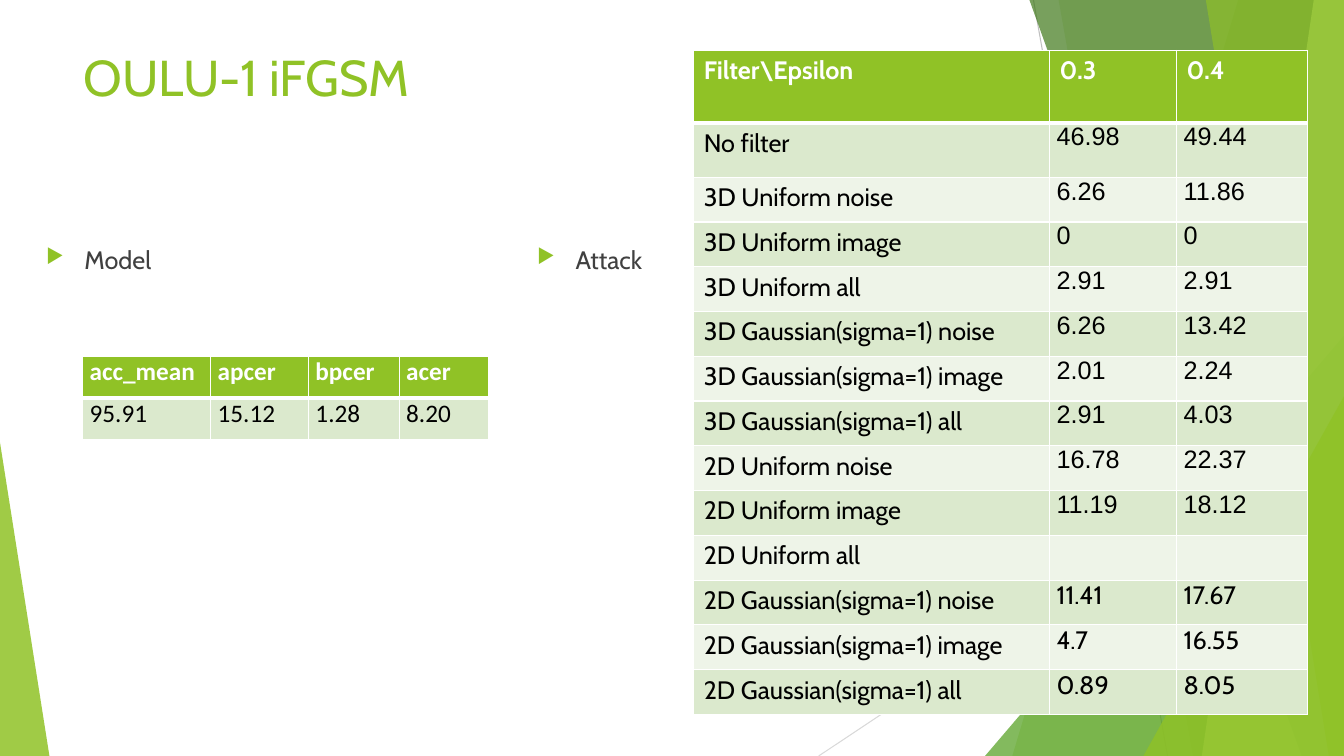
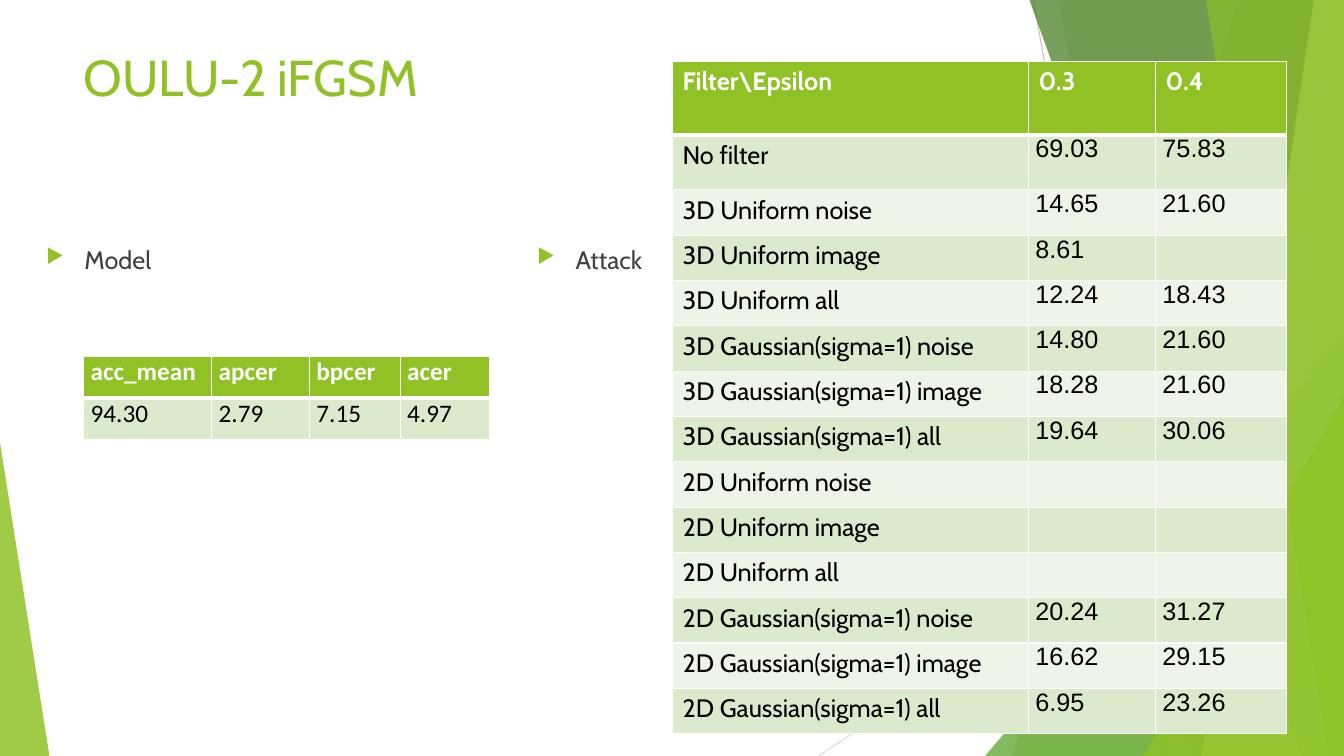
from dataclasses import dataclass

from lxml import etree
from pptx import Presentation
from pptx import util as u
from pptx.dml.color import RGBColor
from pptx.enum import shapes
from pptx.oxml.ns import qn

# Content
FILTERS = ["No filter"] + [
    f"{dim} {kind} {part}"
    for dim in ("3D", "2D")
    for kind in ("Uniform", "Gaussian(sigma=1)")
    for part in ("noise", "image", "all")
]
ATTACK_HEAD = ("Filter\\Epsilon", "0.3", "0.4")
MODEL_HEAD = ("acc_mean", "apcer", "bpcer", "acer")
SLIDES = [
    dict(
        title="OULU-1 iFGSM",
        model=("95.91", "15.12", "1.28", "8.20"),
        model_left=0.82,
        attack=[
            ("46.98", "49.44"),
            ("6.26", "11.86"), ("0", "0"), ("2.91", "2.91"),
            ("6.26", "13.42"), ("2.01", "2.24"), ("2.91", "4.03"),
            ("16.78", "22.37"), ("11.19", "18.12"), ("", ""),
            ("11.41", "17.67"), ("4.7", "16.55"), ("0.89", "8.05"),
        ],
        attack_box=(6.88, 0.5, 6.59),
        title_font_rows=3,  # closing rows whose values use the title font
    ),
    dict(
        title="OULU-2 iFGSM",
        model=("94.30", "2.79", "7.15", "4.97"),
        model_left=0.83,
        attack=[
            ("69.03", "75.83"),
            ("14.65", "21.60"), ("8.61", ""), ("12.24", "18.43"),
            ("14.80", "21.60"), ("18.28", "21.60"), ("19.64", "30.06"),
            ("", ""), ("", ""), ("", ""),
            ("20.24", "31.27"), ("16.62", "29.15"), ("6.95", "23.26"),
        ],
        attack_box=(6.67, 0.61, 6.67),
        title_font_rows=0,
    ),
]


@dataclass(frozen=True)
class Theme:
    green: str = "90C226"
    leaf: str = "54A021"
    forest: str = "3F7819"
    lime: str = "C0E474"
    band: str = "DBE9CD"
    band_light: str = "EEF4E8"
    white: str = "FFFFFF"
    black: str = "000000"
    body: str = "404040"
    main_font: str = "Cabin"
    value_font: str = "Arial"
    model_font: str = "Calibri"
    title_size: int = 36
    body_size: int = 18


T = Theme()
W, H = 13.33, 7.5

# Backdrop, back to front
LINES = [(10.25, 0, 11.58, H, "BFBFBF"), (W, 4.03, 8.12, H, "D9D9D9")]
# "band": top x, bottom x, both running to the right edge
# "triangle": left, top, width, apex position
BACKDROP = [
    ("band", (12.28, 10.04), T.green, 30),
    ("band", (10.5, 11.83), T.green, 20),
    ("triangle", (9.77, 3.33, 3.56, 1), T.leaf, 72),
    ("band", (10.21, 12.91), T.forest, 70),
    ("band", (13.03, 11.92), T.lime, 70),
    ("band", (11.96, 13.18), T.green, 65),
    ("triangle", (11.34, 3.93, 1.99, 1), T.green, 80),
    ("triangle", (0, 4.39, 0.49, 0), T.green, 85),
]


def rgb(color):
    return RGBColor.from_string(color)


def sub(parent, tag, **attrs):
    return etree.SubElement(parent, qn(tag), attrs)


def style(p, font, size, color, bold=False):
    p.font.name, p.font.size, p.font.bold = font, u.Pt(size), bold
    p.font.color.rgb = rgb(color)


def draw_backdrop(s):
    for x1, y1, x2, y2, color in LINES:
        line = s.shapes.add_connector(
            shapes.MSO_CONNECTOR.STRAIGHT, *map(u.Inches, (x1, y1, x2, y2)))
        line.line.color.rgb, line.line.width = rgb(color), u.Pt(0.75)
        sub(line._element.spPr, "a:effectLst")
    for kind, geometry, color, opacity in BACKDROP:
        if kind == "band":
            top_x, bottom_x = geometry
            outline = s.shapes.build_freeform(u.Inches(top_x), 0)
            outline.add_line_segments(
                [(u.Inches(x), u.Inches(y))
                 for x, y in ((W, 0), (W, H), (bottom_x, H))])
            sp = outline.convert_to_shape()
        else:
            left, top, width, apex = geometry
            sp = s.shapes.add_shape(
                shapes.MSO_SHAPE.ISOSCELES_TRIANGLE,
                *map(u.Inches, (left, top, width, H - top)))
            sp.adjustments[0] = apex
        sp.shadow.inherit = False
        sp.line.fill.background()
        sp.fill.solid()
        sp.fill.fore_color.rgb = rgb(color)
        solid = sp._element.spPr.find(qn("a:solidFill"))
        sub(solid[0], "a:alpha", val=str(opacity * 1000))


def add_text(s, words, box, size, color, bullet=False):
    tf = s.shapes.add_textbox(*map(u.Inches, box)).text_frame
    tf.word_wrap = True
    p = tf.paragraphs[0]
    p.text = words
    if bullet:
        pPr = p._p.get_or_add_pPr()
        indent = u.Inches(0.38)
        pPr.set("marL", str(indent))
        pPr.set("indent", str(-indent))
        sub(sub(pPr, "a:buClr"), "a:srgbClr", val=T.green)
        sub(pPr, "a:buSzPct", val="80000")
        sub(pPr, "a:buChar", char="▶")
    style(p, T.main_font, size, color)


def set_borders(cell, **widths):
    tcPr = cell._tc.get_or_add_tcPr()
    for side in "LRTB":
        ln = sub(tcPr, f"a:ln{side}", w=str(u.Pt(widths.get(side, 1))))
        sub(sub(ln, "a:solidFill"), "a:srgbClr", val=T.white)


def add_grid(s, left, top, cols, heights, rows, font_at, tight_at):
    """Green header over banded rows; font_at and tight_at take (row, col)."""
    frame = s.shapes.add_table(
        len(rows), len(cols),
        *map(u.Inches, (left, top, sum(cols), sum(heights))))
    table = frame.table
    for column, width in zip(table.columns, cols):
        column.width = u.Inches(width)
    for i, (row, height) in enumerate(zip(rows, heights)):
        table.rows[i].height = u.Inches(height)
        header = i == 0
        fill = T.green if header else T.band if i % 2 else T.band_light
        for j, words in enumerate(row):
            cell = table.cell(i, j)
            set_borders(cell, B=3 if header else 1, T=3 if i == 1 else 1)
            cell.fill.solid()
            cell.fill.fore_color.rgb = rgb(fill)
            if tight_at(i, j):
                cell.margin_left = cell.margin_right = u.Inches(0.07)
                cell.margin_top = cell.margin_bottom = 0
            p = cell.text_frame.paragraphs[0]
            p.text = words
            style(p, font_at(i, j), T.body_size,
                  T.white if header else T.black, header)


def add_attack_table(s, data):
    left, top, height = data["attack_box"]
    rows = [ATTACK_HEAD] + [
        (name, *values) for name, values in zip(FILTERS, data["attack"])]
    head, first = 0.109 * height, 0.082 * height
    rest = len(rows) - 2
    heights = [head, first] + [(height - head - first) / rest] * rest
    arial_end = len(rows) - data["title_font_rows"]

    def is_value(i, j):
        return i > 0 and j > 0

    def font_at(i, j):
        return T.value_font if is_value(i, j) and i < arial_end else T.main_font

    add_grid(s, left, top, (3.53, 1.26, 1.3), heights, rows, font_at, is_value)


def add_model_table(s, data):
    add_grid(s, data["model_left"], 3.54, (1.27, 0.97, 0.9, 0.89),
             (0.41, 0.41), (MODEL_HEAD, data["model"]),
             lambda i, j: T.model_font, lambda i, j: True)


def main():
    prs = Presentation()
    prs.slide_width, prs.slide_height = u.Inches(W), u.Inches(H)
    for data in SLIDES:
        s = prs.slides.add_slide(prs.slide_layouts[6])
        draw_backdrop(s)
        add_text(s, data["title"], (0.73, 0.41, 9.4, 1.44),
                 T.title_size, T.green)
        add_attack_table(s, data)
        for words, left in (("Model", 0.36), ("Attack", 5.23)):
            add_text(s, words, (left, 2.37, 1.77, 0.39),
                     T.body_size, T.body, bullet=True)
        add_model_table(s, data)
    prs.save("out.pptx")


if __name__ == "__main__":
    main()
